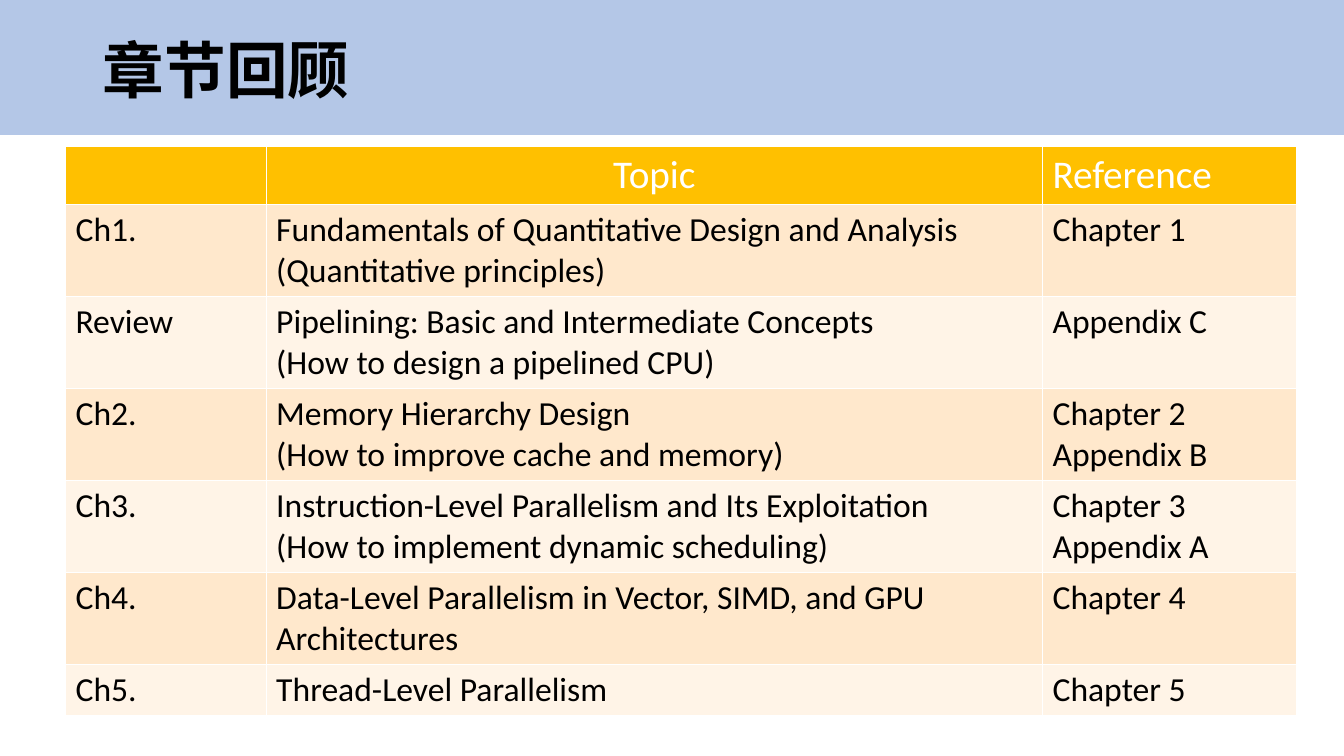
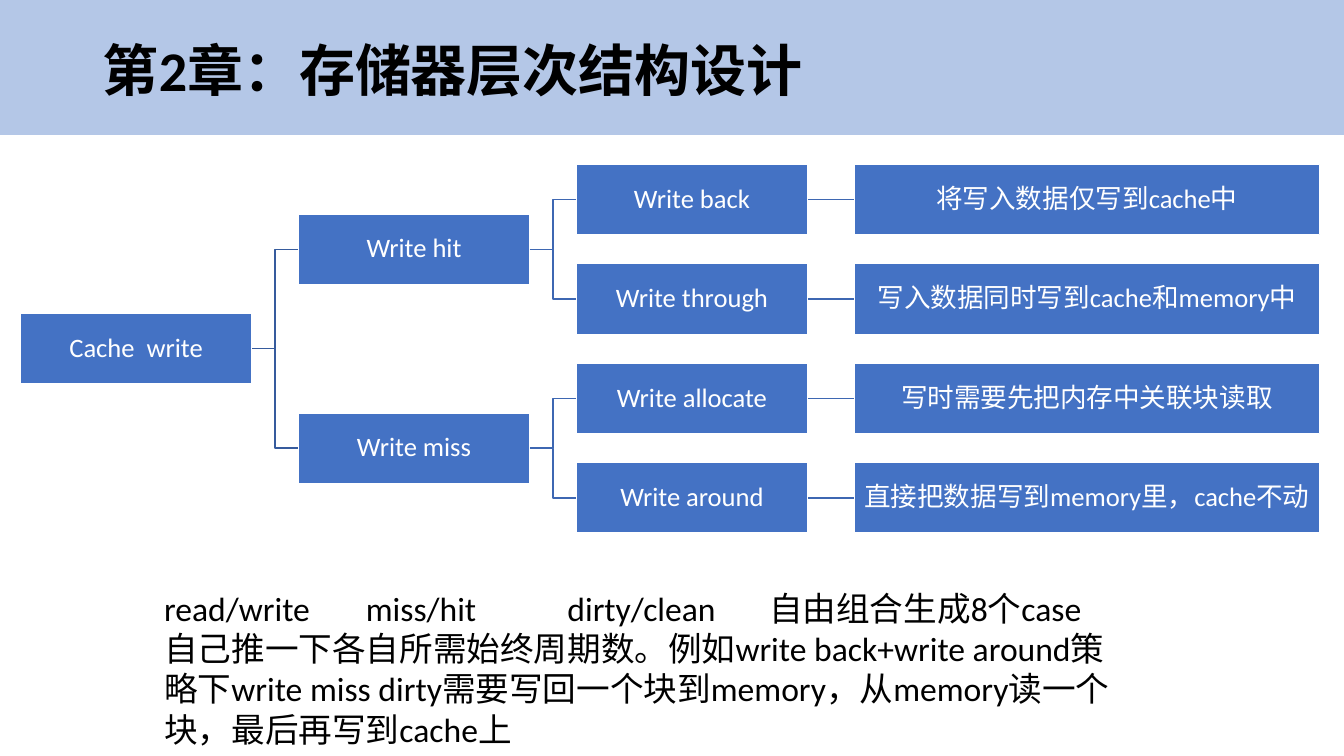
from dataclasses import dataclass
from itertools import count

from lxml.etree import SubElement
from pptx import Presentation
from pptx.dml.color import RGBColor
from pptx.enum.shapes import MSO_CONNECTOR, MSO_SHAPE
from pptx.enum.text import MSO_ANCHOR, PP_ALIGN
from pptx.oxml.ns import qn
from pptx.util import Inches, Pt

CHAPTERS_TITLE = "章节回顾"
CHAPTER_HEADINGS = ("", "Topic", "Reference")
CHAPTERS = [
    ("Ch1.", "Fundamentals of Quantitative Design and Analysis\n(Quantitative principles)", "Chapter 1"),
    ("Review", "Pipelining: Basic and Intermediate Concepts\n(How to design a pipelined CPU)", "Appendix C"),
    ("Ch2.", "Memory Hierarchy Design\n(How to improve cache and memory)", "Chapter 2\nAppendix B"),
    ("Ch3.", "Instruction-Level Parallelism and Its Exploitation\n(How to implement dynamic scheduling)",
     "Chapter 3\nAppendix A"),
    ("Ch4.", "Data-Level Parallelism in Vector, SIMD, and GPU Architectures", "Chapter 4"),
    ("Ch5.", "Thread-Level Parallelism", "Chapter 5"),
]
COLUMN_WIDTHS = (1.99, 7.7, 2.52)
ROW_HEIGHTS = (0.57, *[0.91] * 5, 0.5)

CACHE_TITLE = "第2章：存储器层次结构设计"
CACHE_WRITE = ("Cache  write", [
    ("Write hit", [
        ("Write back", [("将写入数据仅写到cache中", [])]),
        ("Write through", [("写入数据同时写到cache和memory中", [])]),
    ]),
    ("Write miss", [
        ("Write allocate", [("写时需要先把内存中关联块读取", [])]),
        ("Write around", [("直接把数据写到memory里，cache不动", [])]),
    ]),
])
EXERCISE = (
    "read/write\tmiss/hit\tdirty/clean \t自由组合生成8个case"
    "自己推一下各自所需始终周期数。例如write back+write around策略下"
    "write miss dirty需要写回一个块到memory，从memory读一个块，最后再写到cache上"
)
EXERCISE_TABS = (2, 4, 6)

TREE_LEFT, LEAF_LEFT = 0.2, 8.47
FIRST_LEAF_MIDDLE, LAST_LEAF_MIDDLE = 1.98, 4.94
LEVEL_PITCH = (LEAF_LEFT - TREE_LEFT) / 3
LEAF_PITCH = (LAST_LEAF_MIDDLE - FIRST_LEAF_MIDDLE) / 3
NODE_WIDTH, LEAF_WIDTH, NODE_HEIGHT = 2.3, 4.62, 0.7


@dataclass(frozen=True)
class Theme:
    """Colours, font and type sizes shared by the slides."""
    font: str = "Calibri"
    band: str = "B4C7E7"
    ink: str = "000000"
    paper: str = "FFFFFF"
    header: str = "FFC000"
    stripes: tuple = ("FFE8CC", "FFF4E7")
    node: str = "4472C4"
    root_branch: str = "365B9D"
    branch: str = "3E67B2"
    chapters_title: int = 44
    cache_title: int = 40
    heading: int = 28
    body: int = 24
    label: int = 19


THEME = Theme()


def apply(target, **values):
    """Set each named attribute on the target."""
    for name, value in values.items():
        setattr(target, name, value)


def place(shape, left, top, width, height):
    """Move and size a shape, in inches."""
    apply(shape, left=Inches(left), top=Inches(top), width=Inches(width), height=Inches(height))


def write(frame, text, size, colour, bold=False, tabs=(), **paragraph_format):
    """Fill a text frame and format all its paragraphs."""
    frame.text = text
    for paragraph in frame.paragraphs:
        apply(paragraph, **paragraph_format)
        if tabs:
            stops = SubElement(paragraph._p.get_or_add_pPr(), qn("a:tabLst"))
            for position in tabs:
                SubElement(stops, qn("a:tab"), pos=str(Inches(position)), algn="l")
        apply(paragraph.font, name=THEME.font, size=Pt(size), bold=bold)
        paragraph.font.color.rgb = RGBColor.from_string(colour)


def add_box(slide, at, fill, line):
    """Add a flat outlined rectangle."""
    box = slide.shapes.add_shape(MSO_SHAPE.RECTANGLE, *map(Inches, at))
    box.shadow.inherit = False
    box.fill.solid()
    box.fill.fore_color.rgb = RGBColor.from_string(fill)
    box.line.color.rgb = RGBColor.from_string(line)
    box.line.width = Pt(1)
    return box


def add_band(slide):
    """Put the title band behind everything on the slide's layout."""
    band = add_box(slide, (0, 0.01, 13.33, 1.32), THEME.band, THEME.band)
    slide.slide_layout.shapes.element.insert(2, band.element)


def add_titled_slide(deck, title, size):
    """Add a title-only slide with the shared title style."""
    slide = deck.slides.add_slide(deck.slide_layouts[5])
    heading = slide.shapes.title
    place(heading, 0.92, 0.32, 11.5, 0.82)
    write(heading.text_frame, title, size, THEME.ink, bold=True,
          alignment=PP_ALIGN.LEFT, line_spacing=0.9)
    heading.text_frame.vertical_anchor = MSO_ANCHOR.MIDDLE
    return slide


def style_cell(cell, fill):
    """Give a cell white borders and a solid fill."""
    properties = cell._tc.get_or_add_tcPr()
    for side in ("lnL", "lnR", "lnT", "lnB"):
        border = SubElement(properties, qn(f"a:{side}"), w=str(Pt(1)))
        paint = SubElement(border, qn("a:solidFill"))
        SubElement(paint, qn("a:srgbClr"), val=THEME.paper)
    cell.fill.solid()
    cell.fill.fore_color.rgb = RGBColor.from_string(fill)


def add_chapters(slide):
    """Add the table of chapters."""
    rows = [CHAPTER_HEADINGS, *CHAPTERS]
    at = (0.65, 1.45, sum(COLUMN_WIDTHS), sum(ROW_HEIGHTS))
    table = slide.shapes.add_table(len(rows), len(COLUMN_WIDTHS), *map(Inches, at)).table
    for column, width in zip(table.columns, COLUMN_WIDTHS):
        column.width = Inches(width)
    for row, height in zip(table.rows, ROW_HEIGHTS):
        row.height = Inches(height)
    for r, texts in enumerate(rows):
        is_heading = r == 0
        fill = THEME.header if is_heading else THEME.stripes[(r - 1) % 2]
        size, colour = (THEME.heading, THEME.paper) if is_heading else (THEME.body, THEME.ink)
        for c, text in enumerate(texts):
            cell = table.cell(r, c)
            style_cell(cell, fill)
            centred = is_heading and c == 1
            write(cell.text_frame, text, size, colour,
                  alignment=PP_ALIGN.CENTER if centred else PP_ALIGN.LEFT)


def join(slide, parent, child, colour):
    """Connect the right side of a parent to the left side of its child."""
    level = abs(parent.top - child.top) < Inches(0.01)
    kind = MSO_CONNECTOR.STRAIGHT if level else MSO_CONNECTOR.ELBOW
    branch = slide.shapes.add_connector(kind, 0, 0, 0, 0)
    branch.begin_connect(parent, 3)
    branch.end_connect(child, 1)
    branch.line.color.rgb = RGBColor.from_string(colour)
    branch.line.width = Pt(1)
    SubElement(branch._element.spPr, qn("a:effectLst"))


def add_tree(slide, node, leaf_numbers, depth=0):
    """Add a node with its subtree and return its box and middle height."""
    label, children = node
    subtrees = [add_tree(slide, child, leaf_numbers, depth + 1) for child in children]
    if subtrees:
        middle = sum(height for _, height in subtrees) / len(subtrees)
    else:
        middle = FIRST_LEAF_MIDDLE + LEAF_PITCH * next(leaf_numbers)
    left = TREE_LEFT + depth * LEVEL_PITCH
    width = NODE_WIDTH if children else LEAF_WIDTH
    box = add_box(slide, (left, middle - NODE_HEIGHT / 2, width, NODE_HEIGHT),
                  THEME.node, THEME.paper)
    inset = Inches(0.01)
    apply(box.text_frame, word_wrap=True, vertical_anchor=MSO_ANCHOR.MIDDLE,
          margin_left=inset, margin_right=inset, margin_top=inset, margin_bottom=inset)
    write(box.text_frame, label, THEME.label, THEME.paper,
          alignment=PP_ALIGN.CENTER, line_spacing=0.9)
    for child, _ in subtrees:
        join(slide, box, child, THEME.branch if depth else THEME.root_branch)
    return box, middle


def add_exercise(slide):
    """Add the exercise text below the tree."""
    exercise = slide.shapes.add_textbox(*map(Inches, (1.53, 5.78, 9.58, 1.72)))
    exercise.text_frame.word_wrap = True
    write(exercise.text_frame, EXERCISE, THEME.body, THEME.ink, tabs=EXERCISE_TABS)


def main():
    """Build and save the deck."""
    deck = Presentation()
    apply(deck, slide_width=Inches(13.33), slide_height=Inches(7.5))
    chapters = add_titled_slide(deck, CHAPTERS_TITLE, THEME.chapters_title)
    add_band(chapters)
    add_chapters(chapters)
    cache = add_titled_slide(deck, CACHE_TITLE, THEME.cache_title)
    add_tree(cache, CACHE_WRITE, count())
    add_exercise(cache)
    deck.save("out.pptx")


if __name__ == "__main__":
    main()
